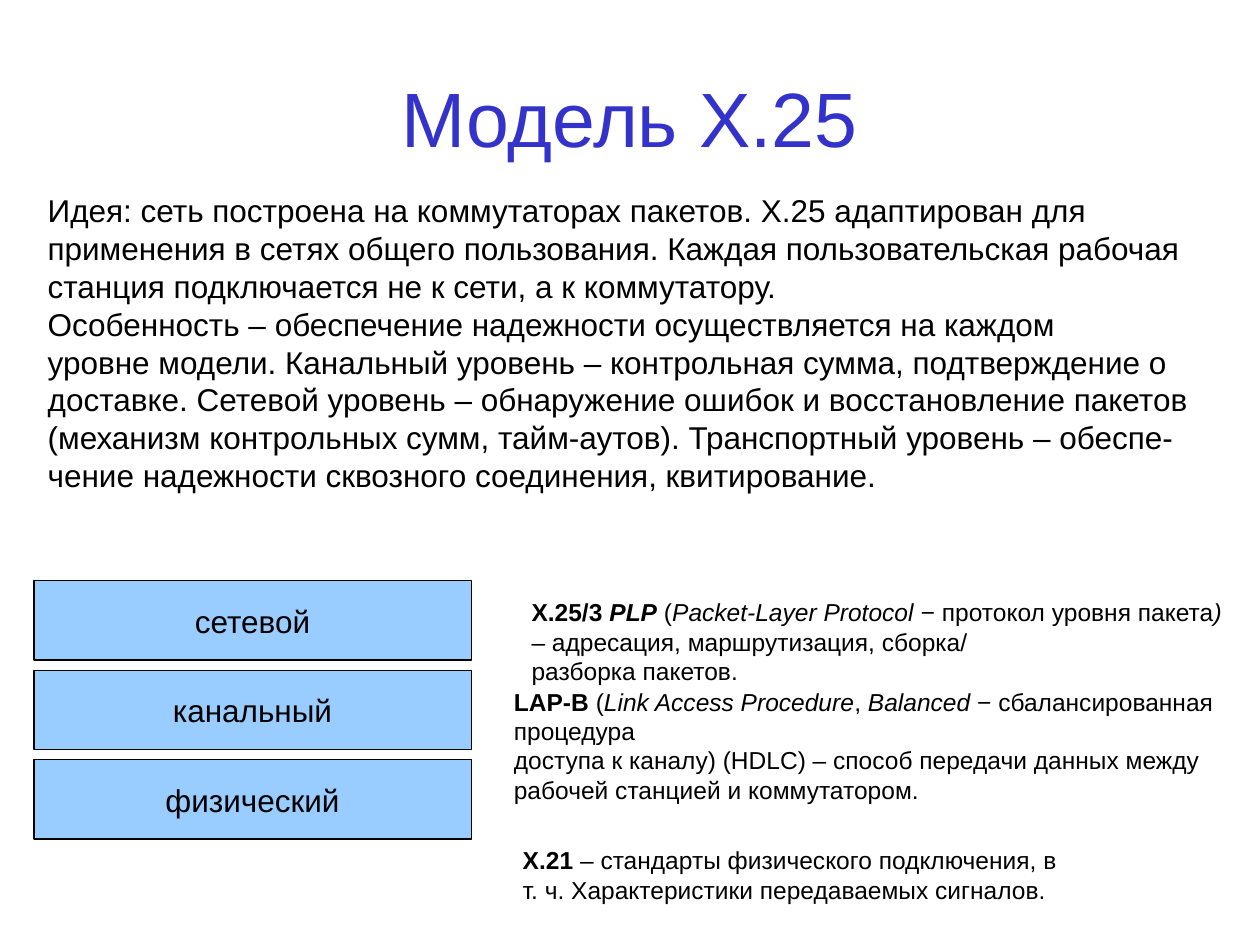
from pptx import Presentation, util as u
from pptx.dml.color import RGBColor
from pptx.enum import shapes, text

BLACK, TITLE_BLUE, LAYER_BLUE = "000000", "3333CC", "99CCFF"


def colour(value):
    return RGBColor.from_string(value)


def write(frame, lines, size=14, color=BLACK, align=text.PP_ALIGN.LEFT, font="Arial"):
    """Fill a frame; a line is a string or a list of (words, style), style using b and i."""
    for number, line in enumerate(lines):
        paragraph = frame.paragraphs[0] if number == 0 else frame.add_paragraph()
        paragraph.alignment = align
        for words, style in [(line, "")] if isinstance(line, str) else line:
            run = paragraph.add_run()
            run.text = words
            run.font.name = font
            run.font.size = u.Pt(size)
            run.font.bold = "b" in style
            run.font.italic = "i" in style
            run.font.color.rgb = colour(color)


class SlideBuilder:
    def __init__(self, slide):
        self.slide = slide

    def title(self, words, left, top, width, height):
        title = self.slide.shapes.title
        title.left, title.top = u.Inches(left), u.Inches(top)
        title.width, title.height = u.Inches(width), u.Inches(height)
        title.text_frame.vertical_anchor = text.MSO_ANCHOR.MIDDLE
        write(title.text_frame, [words], size=44, color=TITLE_BLUE,
              align=text.PP_ALIGN.CENTER)

    def layer(self, name, left, top, width, height):
        box = self.slide.shapes.add_shape(
            shapes.MSO_SHAPE.RECTANGLE,
            u.Inches(left), u.Inches(top), u.Inches(width), u.Inches(height))
        box.shadow.inherit = False
        box.fill.solid()
        box.fill.fore_color.rgb = colour(LAYER_BLUE)
        box.line.color.rgb = colour(BLACK)
        box.line.width = u.Pt(0.75)
        box.text_frame.word_wrap = False
        box.text_frame.vertical_anchor = text.MSO_ANCHOR.MIDDLE
        write(box.text_frame, [name], size=18, align=text.PP_ALIGN.CENTER)

    def note(self, lines, left, top, width, height, size=14, wrap=False):
        box = self.slide.shapes.add_textbox(
            u.Inches(left), u.Inches(top), u.Inches(width), u.Inches(height))
        box.text_frame.word_wrap = wrap
        box.text_frame.auto_size = text.MSO_AUTO_SIZE.SHAPE_TO_FIT_TEXT
        write(box.text_frame, lines, size=size)


def main():
    deck = Presentation()
    deck.slide_width, deck.slide_height = u.Inches(10), u.Inches(7.5)
    builder = SlideBuilder(deck.slides.add_slide(deck.slide_layouts[5]))

    builder.title("Модель Х.25", 0.5, 0.3, 9, 1.25)

    for row, name in enumerate(["сетевой", "канальный", "физический"]):
        builder.layer(name, 0.27, 4.61 + row * 0.71, 3.47, 0.63)

    network = [
        [("Х.25/3 ", "b"), ("PLP", "bi"), (" (", ""), ("Packet-Layer Protocol − ", "i"),
         ("протокол уровня пакета", ""), (")", "i")],
        "– адресация, маршрутизация, сборка/",
        "разборка пакетов.",
    ]
    physical = [
        [("Х.21", "b"), (" – стандарты физического подключения, в", "")],
        "т. ч. Характеристики передаваемых сигналов.",
    ]
    link = [
        [("LAP-B ", "b"), ("(", ""), ("Link Access Procedure", "i"), (", ", ""),
         ("Balanced", "i"), (" − сбалансированная процедура", "")],
        "доступа к каналу) (HDLC) – способ передачи данных между",
        "рабочей станцией и коммутатором.",
    ]
    idea = [
        "Идея: сеть построена на коммутаторах пакетов. Х.25 адаптирован для",
        "применения в сетях общего пользования. Каждая пользовательская рабочая",
        "станция подключается не к сети, а к коммутатору.",
        "Особенность – обеспечение надежности осуществляется на каждом",
        "уровне модели. Канальный уровень – контрольная сумма, подтверждение о",
        "доставке. Сетевой уровень – обнаружение ошибок и восстановление пакетов",
        "(механизм контрольных сумм, тайм-аутов). Транспортный уровень – обеспе-",
        "чение надежности сквозного соединения, квитирование.",
    ]
    builder.note(network, 4.12, 4.69, 5.75, 0.8)
    builder.note(physical, 4.05, 6.66, 4.45, 0.57)
    builder.note(link, 3.98, 5.4, 5.82, 1.04, wrap=True)
    builder.note(idea, 0.28, 1.47, 9.29, 2.5, size=18)

    deck.save("out.pptx")


if __name__ == "__main__":
    main()
